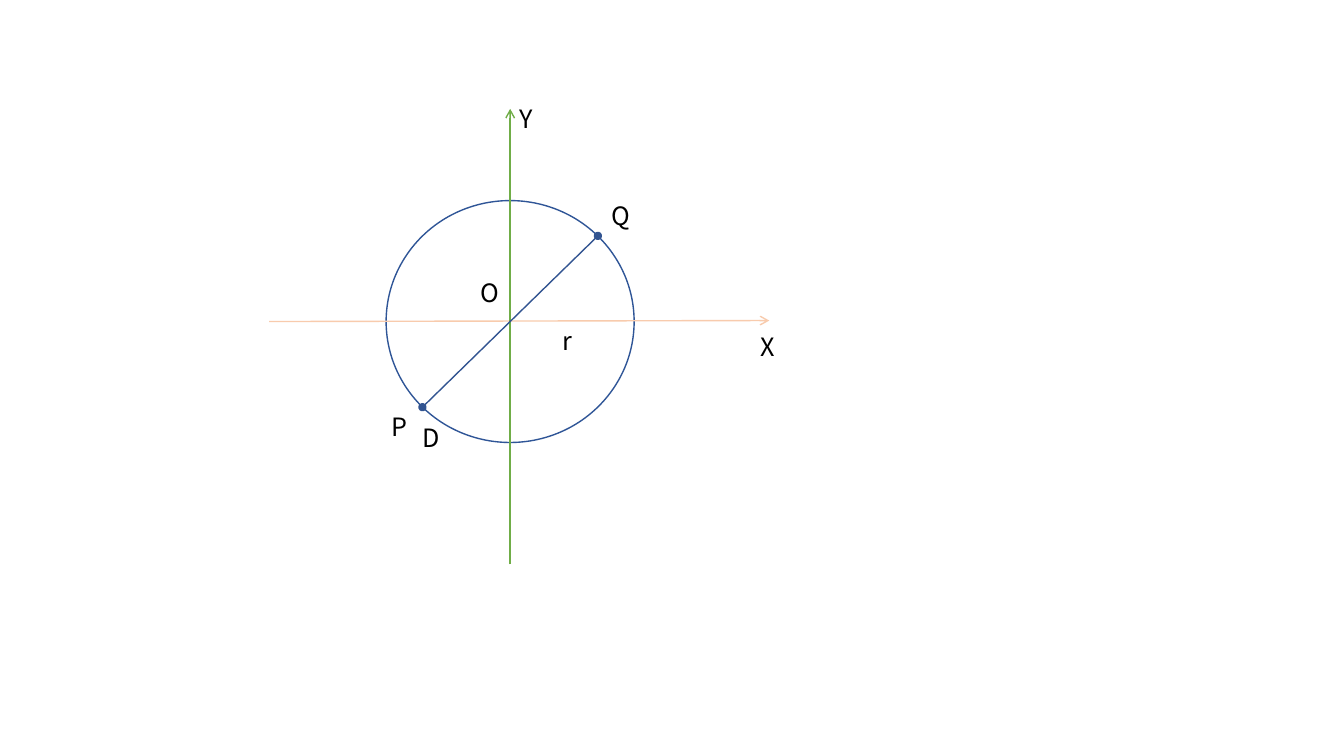
from lxml import etree
from pptx import Presentation
from pptx import util as u
from pptx.dml.color import RGBColor
from pptx.enum import shapes, text
from pptx.oxml import ns

PX = 9144
BLUE = RGBColor(0x2F, 0x55, 0x97)
NAVY = RGBColor(0x32, 0x54, 0x91)
PEACH = RGBColor(0xF8, 0xCB, 0xAD)
GREEN = RGBColor(0x70, 0xAD, 0x47)
BLACK = RGBColor(0, 0, 0)

deck = Presentation()
deck.slide_width = 1333 * PX
deck.slide_height = 750 * PX
slide = deck.slides.add_slide(deck.slide_layouts[6])


def label(words, x, y, wide=26, size=18, color=BLACK, face="Noto Sans CJK SC"):
    box = slide.shapes.add_textbox(x * PX, y * PX, wide * PX, 40 * PX)
    frame = box.text_frame
    frame.word_wrap = True
    frame.auto_size = text.MSO_AUTO_SIZE.SHAPE_TO_FIT_TEXT
    run = frame.paragraphs[0].add_run()
    run.text = words
    run.font.size = u.Pt(size)
    run.font.name = face
    run.font.color.rgb = color


def line(start, stop, color, **ends):
    link = slide.shapes.add_connector(
        shapes.MSO_CONNECTOR.STRAIGHT, *[n * PX for n in (*start, *stop)])
    link.line.color.rgb = color
    link.line.width = u.Pt(1)
    props = link._element.spPr
    stroke = props.find(ns.qn("a:ln"))
    for end, kind in ends.items():
        etree.SubElement(stroke, ns.qn(f"a:{end}End"), type=kind)
    etree.SubElement(props, ns.qn("a:effectLst"))


circle = slide.shapes.add_shape(
    shapes.MSO_SHAPE.OVAL, 383 * PX, 199 * PX, 246 * PX, 240 * PX)
circle.shadow.inherit = False
circle.fill.background()
circle.line.color.rgb = BLUE
circle.line.width = u.Pt(1)

line((267, 319), (763, 318), PEACH, tail="arrow")
line((506, 560), (506, 108), GREEN, tail="arrow")

for name, x, y in [("O", 467, 270), ("Y", 505, 98), ("X", 744, 324), ("r", 548, 318)]:
    label(name, x, y)

line((419, 404), (593, 234), NAVY, head="oval", tail="oval")

for name, x, y in [("D", 409, 414), ("Q", 597, 194), ("P", 378, 403)]:
    label(name, x, y, wide=32)

deck.save("out.pptx")
